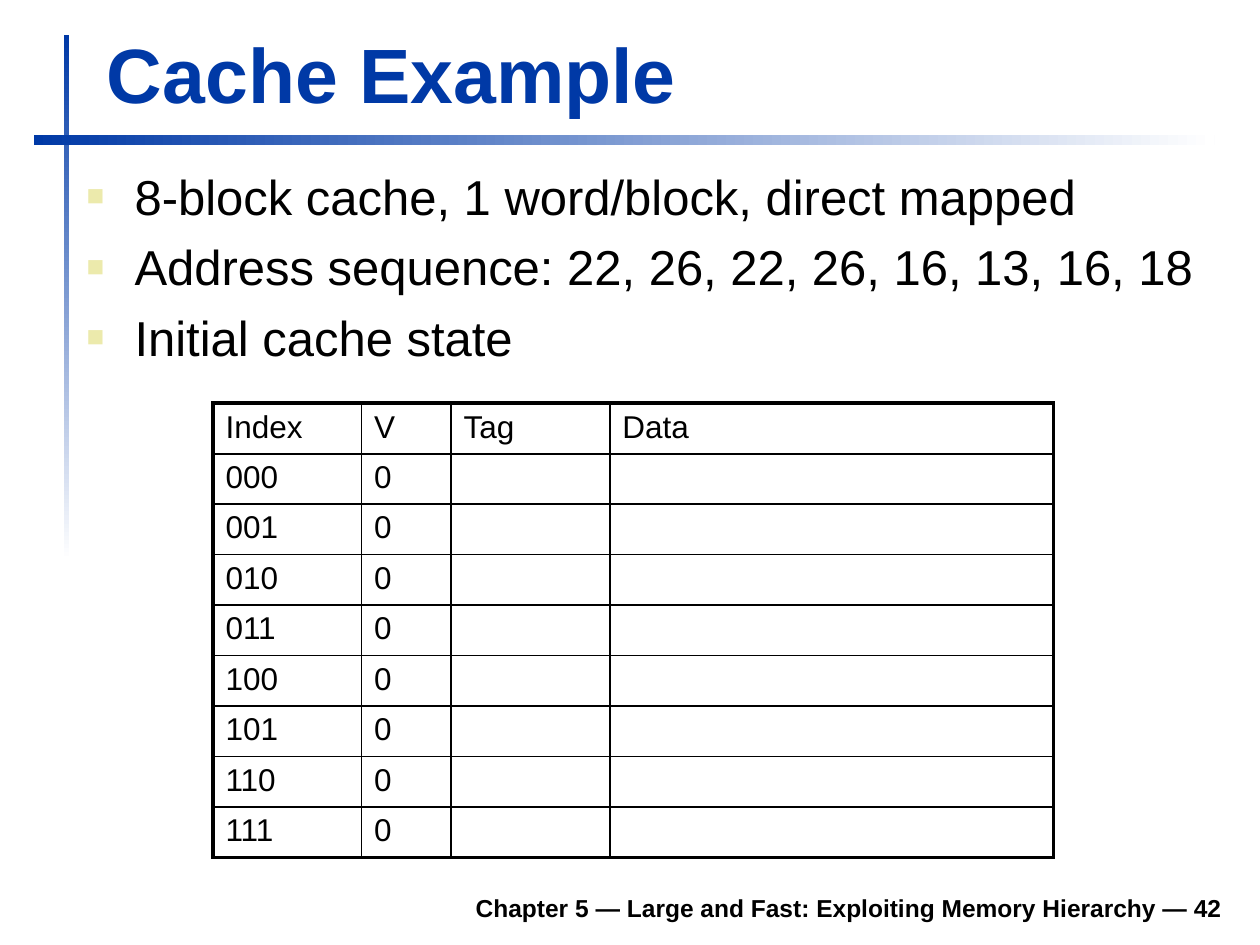
from lxml.etree import SubElement
from pptx import Presentation
from pptx.dml.color import RGBColor
from pptx.enum.shapes import MSO_SHAPE
from pptx.enum.text import MSO_ANCHOR, PP_ALIGN
from pptx.oxml.ns import qn
from pptx.util import Inches, Pt

COLORS = {"blue": "0039A6", "white": "FFFFFF", "black": "000000", "bullet": "ECEAAC"}
TITLE = "Cache Example"
POINTS = [
    "8-block cache, 1 word/block, direct mapped",
    "Address sequence: 22, 26, 22, 26, 16, 13, 16, 18",
    "Initial cache state",
]
FOOTER = "Chapter 5 — Large and Fast: Exploiting Memory Hierarchy — 42"
HEADINGS = ["Index", "V", "Tag", "Data"]
ROWS = [HEADINGS] + [[f"{index:03b}", "0", "", ""] for index in range(8)]
COLUMN_WIDTHS = [1.18, 0.71, 1.26, 3.52]
ROW_HEIGHT = 0.4
TABLE_LEFT, TABLE_TOP = 1.69, 3.2
BARS = [((0.51, 0.28, 0.04, 4.17), 270), ((0.27, 1.07, 9.37, 0.08), 0)]
OUTER, HEADER, INNER = 2.25, 1.5, 1
FORMATS = {
    "title": {"size": Pt(44), "bold": True, "color": "blue"},
    "body": {"size": Pt(28), "bold": False, "color": "black"},
    "cell": {"size": Pt(18), "bold": False, "color": "black"},
    "footer": {"size": Pt(14), "bold": True, "color": "black"},
}


def color(name):
    return RGBColor.from_string(COLORS[name])


def write(para, text, style):
    span = para.add_run()
    span.text = text
    span.font.name = "Arial"
    for key, value in FORMATS[style].items():
        if key == "color":
            span.font.color.rgb = color(value)
        else:
            setattr(span.font, key, value)


def add_bar(page, place, angle):
    bar = page.shapes.add_shape(MSO_SHAPE.RECTANGLE, *map(Inches, place))
    bar.shadow.inherit = False
    bar.line.fill.background()
    bar.fill.gradient()
    bar.fill.gradient_angle = angle
    for stop, name in zip(bar.fill.gradient_stops, ("blue", "white")):
        stop.color.rgb = color(name)


def add_text(page, place, lines, style, anchor=MSO_ANCHOR.BOTTOM):
    frame = page.shapes.add_textbox(*map(Inches, place)).text_frame
    frame.word_wrap = True
    frame.vertical_anchor = anchor
    for number, line in enumerate(lines):
        para = frame.add_paragraph() if number else frame.paragraphs[0]
        write(para, line, style)
    return frame


def add_bullet(para):
    properties = para._p.get_or_add_pPr()
    properties.set("marL", str(Inches(0.38)))
    properties.set("indent", str(-Inches(0.38)))
    tint = SubElement(properties, qn("a:buClr"))
    SubElement(tint, qn("a:srgbClr"), val=COLORS["bullet"])
    SubElement(properties, qn("a:buSzPct"), val="60000")
    SubElement(properties, qn("a:buFont"), typeface="Arial")
    SubElement(properties, qn("a:buChar"), char="■")


def rule_width(position, count, header=False):
    if position in (0, count):
        return OUTER
    return HEADER if header and position == 1 else INNER


def add_borders(cell, row, column):
    properties = cell._tc.get_or_add_tcPr()
    widths = {
        "a:lnL": rule_width(column, len(HEADINGS)),
        "a:lnR": rule_width(column + 1, len(HEADINGS)),
        "a:lnT": rule_width(row, len(ROWS), True),
        "a:lnB": rule_width(row + 1, len(ROWS), True),
    }
    for position, (tag, width) in enumerate(widths.items()):
        line = SubElement(properties, qn(tag), w=str(Pt(width)))
        fill = SubElement(line, qn("a:solidFill"))
        SubElement(fill, qn("a:srgbClr"), val=COLORS["black"])
        properties.insert(position, line)


def add_cache_table(page):
    size = sum(COLUMN_WIDTHS), ROW_HEIGHT * len(ROWS)
    place = map(Inches, (TABLE_LEFT, TABLE_TOP, *size))
    table = page.shapes.add_table(len(ROWS), len(HEADINGS), *place).table
    table.first_row = table.horz_banding = False
    for column, width in zip(table.columns, COLUMN_WIDTHS):
        column.width = Inches(width)
    for row, texts in enumerate(ROWS):
        table.rows[row].height = Inches(ROW_HEIGHT)
        for column, text in enumerate(texts):
            cell = table.cell(row, column)
            cell.fill.background()
            add_borders(cell, row, column)
            if text:
                write(cell.text_frame.paragraphs[0], text, "cell")


def main():
    deck = Presentation()
    deck.slide_width, deck.slide_height = Inches(10), Inches(7.5)
    page = deck.slides.add_slide(deck.slide_layouts[6])
    for place, angle in BARS:
        add_bar(page, place, angle)
    footer = add_text(page, (1.85, 6.98, 7.95, 0.39), [FOOTER], "footer")
    footer.paragraphs[0].alignment = PP_ALIGN.RIGHT
    add_text(page, (0.75, 0.16, 9.03, 0.83), [TITLE], "title")
    body = add_text(page, (0.59, 1.23, 9.03, 1.46), POINTS, "body", MSO_ANCHOR.TOP)
    body.margin_top = Inches(0.09)
    for number, para in enumerate(body.paragraphs):
        add_bullet(para)
        if number:
            para.space_before = Pt(6.7)
    add_cache_table(page)
    deck.save("out.pptx")


if __name__ == "__main__":
    main()
